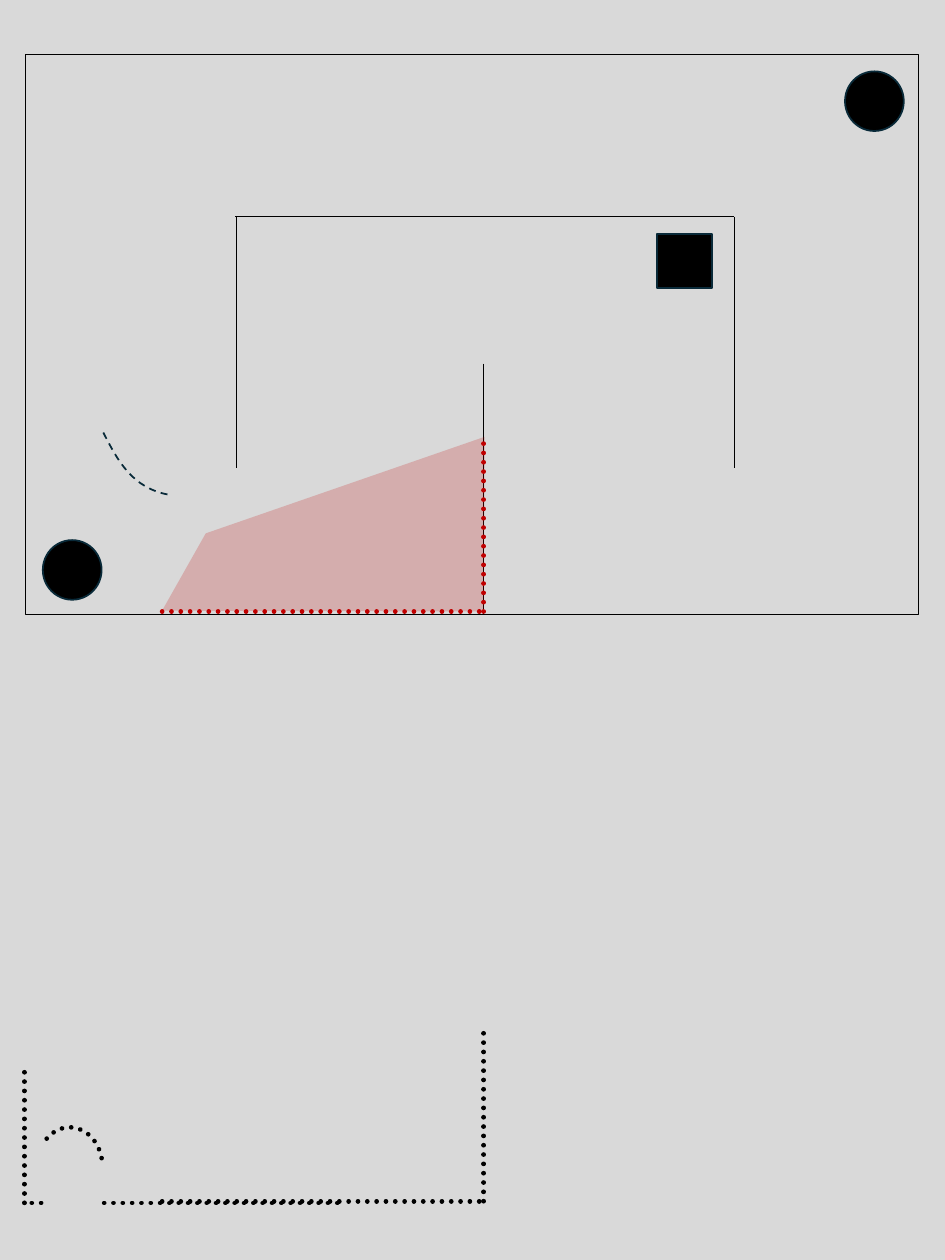
import pptx
import pptx.util
import pptx.dml.color
import pptx.enum.dml
import pptx.enum.shapes
import pptx.oxml
import pptx.oxml.ns
from pptx.util import Inches

SHAPE = pptx.enum.shapes.MSO_SHAPE
DASH = pptx.enum.dml.MSO_LINE
qn = pptx.oxml.ns.qn

BLACK, GREY, NAVY, RED = "000000", "D9D9D9", "092A39", "C00000"


def color(hex_text):
    return pptx.dml.color.RGBColor.from_string(hex_text)


def set_fill(shape, hex_text):
    shape.shadow.inherit = False
    shape.fill.solid()
    shape.fill.fore_color.rgb = color(hex_text)


def set_line(shape, hex_text, width, dash=None):
    shape.line.color.rgb = color(hex_text)
    shape.line.width = pptx.util.Pt(width)
    if dash is not None:
        shape.line.dash_style = dash
    if dash == DASH.ROUND_DOT:
        shape.line._get_or_add_ln().set("cap", "rnd")


def add_line(g, box, start, end, hex_text=BLACK, width=1, dash=None):
    left, top = box
    line = g.shapes.add_connector(
        pptx.enum.shapes.MSO_CONNECTOR.STRAIGHT,
        Inches(left + start[0]), Inches(top + start[1]),
        Inches(left + end[0]), Inches(top + end[1]))
    set_line(line, hex_text, width, dash)
    pptx.oxml.ns  # namespaces used by qn
    line._element.spPr.append(line._element.spPr.makeelement(qn("a:effectLst"), {}))


def add_dots(g, box, start, end, hex_text=BLACK):
    add_line(g, box, start, end, hex_text, 4, DASH.ROUND_DOT)


def add_shape(g, box, kind, x, y, w, h):
    shape = g.shapes.add_shape(kind, Inches(box[0] + x), Inches(box[1] + y),
                               Inches(w), Inches(h))
    shape.shadow.inherit = False
    return shape


def add_outline(g, box, points, close):
    pts = [(Inches(box[0] + x), Inches(box[1] + y)) for x, y in points]
    builder = g.shapes.build_freeform(*pts[0])
    builder.add_line_segments(pts[1:], close=close)
    shape = builder.convert_to_shape()
    shape.shadow.inherit = False
    return shape


def add_curve(g, box, start, control_1, control_2, end):
    """Open cubic curve; the straight segment is swapped for a Bezier."""
    shape = add_outline(g, box, [start, end], close=False)
    shape.fill.background()
    segment = shape._element.find(".//" + qn("a:lnTo"))
    bezier = segment.makeelement(qn("a:cubicBezTo"), {})
    for x, y in (control_1, control_2, end):
        bezier.append(bezier.makeelement(qn("a:pt"), {
            "x": str(Inches(x - start[0])), "y": str(Inches(y - start[1]))}))
    segment.getparent().replace(segment, bezier)
    return shape


def build_room(s, left, top, width, height):
    box = (left, top)
    g = s.shapes.add_group_shape()

    # Room and inner walls
    room = add_shape(g, box, SHAPE.RECTANGLE, 0, 0, width, height)
    set_fill(room, GREY)
    set_line(room, BLACK, 1)
    add_line(g, box, (2.52, 1.93), (2.52, 4.92))
    add_line(g, box, (5.46, 3.68), (5.46, 6.66))

    # Solid objects
    for kind, x, y, w, h in ((SHAPE.OVAL, 0.21, 5.78, 0.7, 0.71),
                             (SHAPE.OVAL, 9.76, 0.2, 0.7, 0.71),
                             (SHAPE.RECTANGLE, 7.52, 2.14, 0.66, 0.64)):
        solid = add_shape(g, box, kind, x, y, w, h)
        set_fill(solid, BLACK)
        set_line(solid, NAVY, 1.5)
    add_line(g, box, (8.44, 1.93), (8.44, 4.92))
    add_line(g, box, (2.5, 1.93), (8.44, 1.93))

    # Dashed curve
    curve = add_curve(g, box, (0.93, 4.5), (1.1, 4.83), (1.27, 5.16), (1.71, 5.24))
    set_line(curve, NAVY, 1.5, DASH.DASH)

    # Translucent zone with dotted edges
    corner = (5.46, 6.63)
    zone = add_outline(g, box, [(2.15, 5.7), (5.47, 4.55), corner, (1.63, 6.62)], True)
    set_fill(zone, RED)
    zone.line.fill.background()
    clr = zone._element.spPr.find(".//" + qn("a:srgbClr"))
    clr.append(clr.makeelement(qn("a:alpha"), {"val": "20000"}))
    add_dots(g, box, (1.63, 6.63), corner, RED)
    add_dots(g, box, corner, (5.46, 4.55), RED)


def build_scan(s, left, top):
    box = (left, top)
    g = s.shapes.add_group_shape()

    # Rounded obstacle
    arc = add_shape(g, box, SHAPE.ARC, 0.15, 1.2, 0.78, 0.94)
    arc.adjustments[0] = 138.414
    arc.adjustments[1] = 0
    arc.fill.background()
    set_line(arc, BLACK, 4, DASH.ROUND_DOT)

    # Wall readings
    for start, end in (((0, 2.1), (0, 0.51)),
                       ((0.2, 2.1), (0, 2.1)),
                       ((0.95, 2.1), (3.78, 2.1)),
                       ((1.64, 2.08), (5.47, 2.08)),
                       ((5.47, 2.08), (5.47, 0))):
        add_dots(g, box, start, end)


def main():
    prs = pptx.Presentation()
    prs.slide_width, prs.slide_height = Inches(11.25), Inches(15)
    s = prs.slides.add_slide(prs.slide_layouts[6])
    s.background.fill.solid()
    s.background.fill.fore_color.rgb = color(GREY)
    build_room(s, 0.3, 0.65, 10.64, 6.67)
    build_scan(s, 0.29, 12.22)
    prs.save("out.pptx")


if __name__ == "__main__":
    main()
